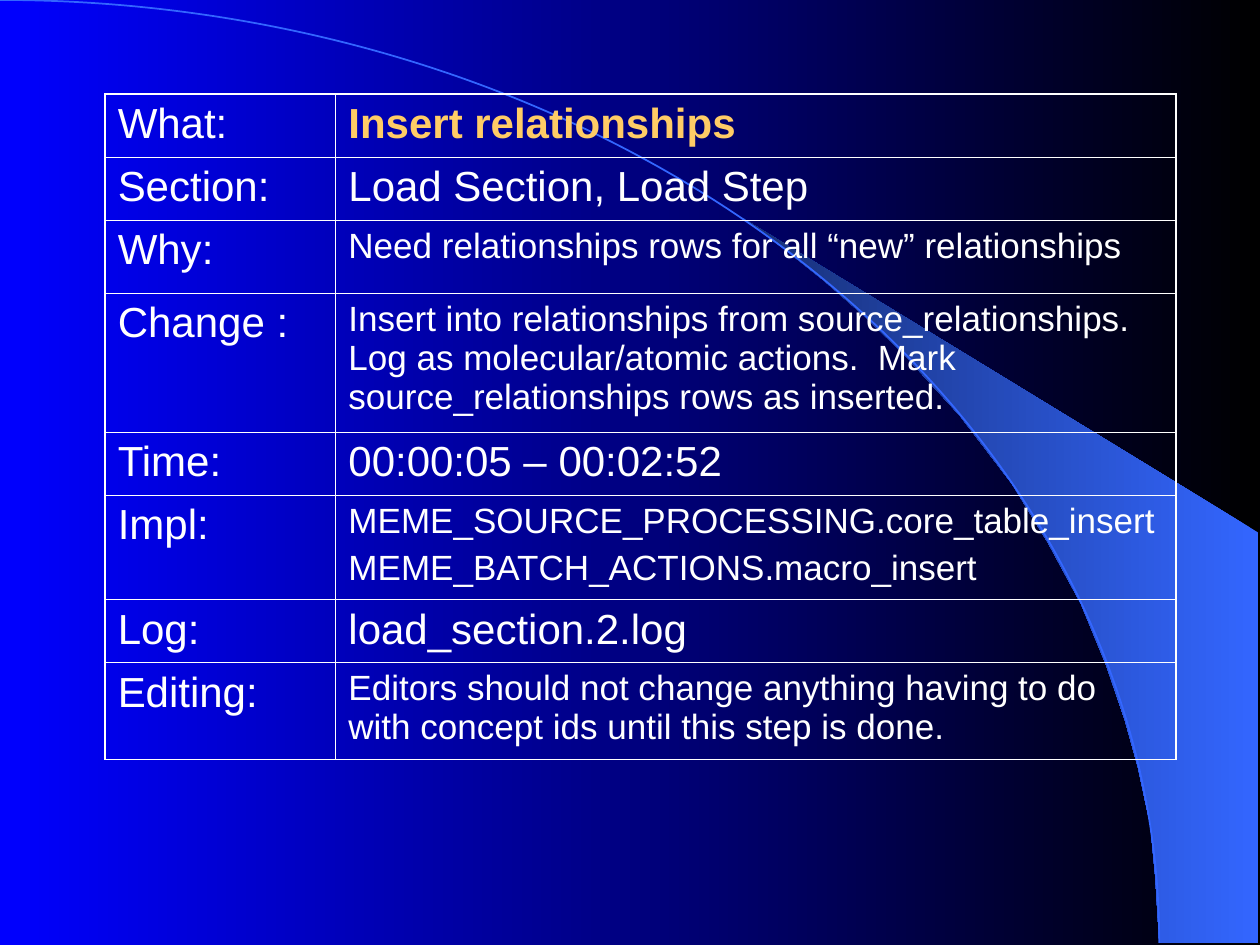
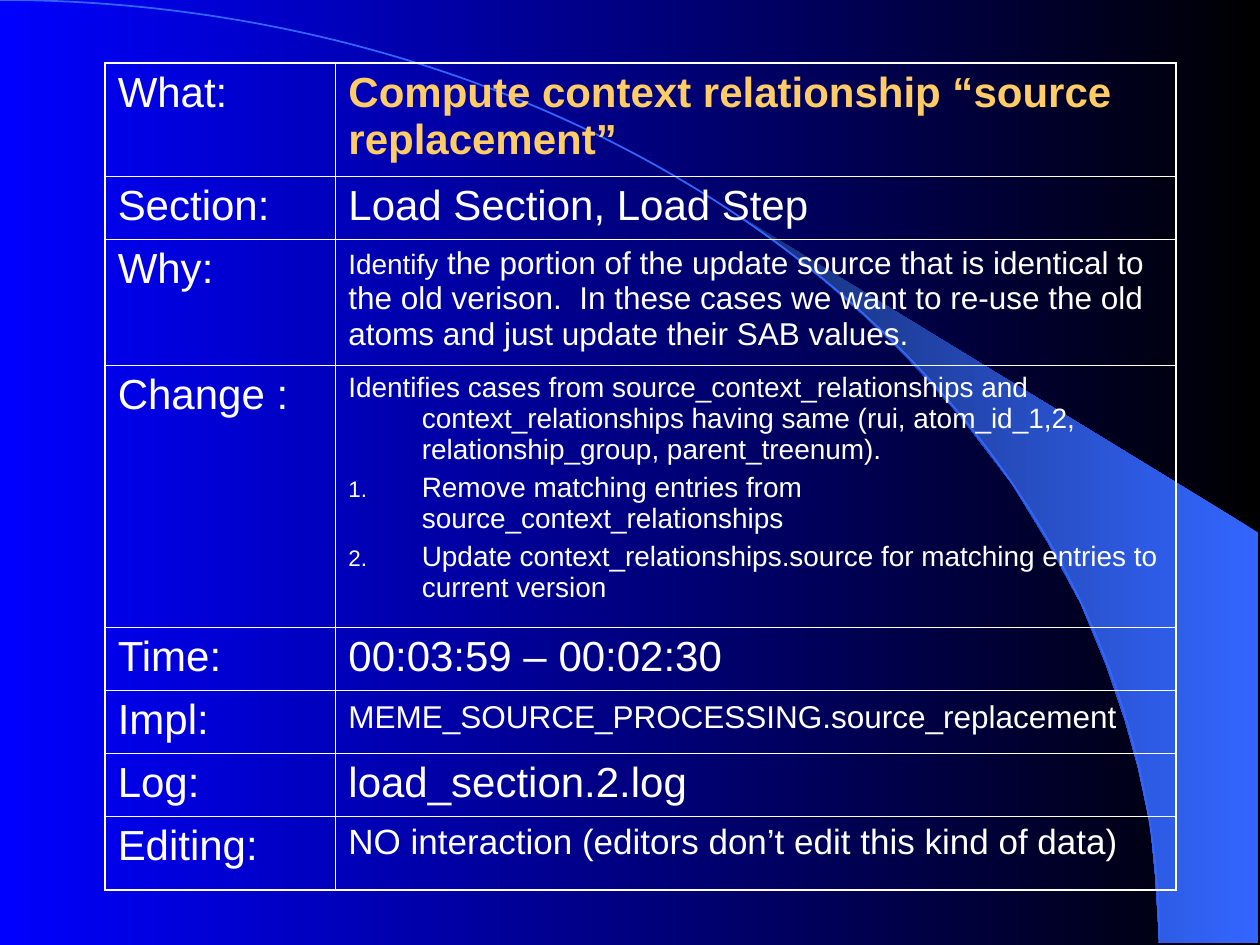
import pptx
import pptx.dml.color
import pptx.enum.shapes
import pptx.oxml
import pptx.oxml.ns
import pptx.util
from lxml import etree

Cm, Pt = pptx.util.Cm, pptx.util.Pt
RGB = pptx.dml.color.RGBColor.from_string
qn = pptx.oxml.ns.qn

HUES = {"text": "FFFFFF", "head": "FFCC66", "dark": "000000",
        "back": "0000FF", "arc": "3366FF", "shade": "172F75"}
FONT = {"name": "Arial", "bold": False}
COLS = [4.65, 16.94]
LEFT = 2.12
HANG = 1.48
THIN, THICK = 0.45, 1.08

# Outline of the light wedge: right edge first, then down along the arc
WEDGE = [(23.37, 19), (25.37, 19.02), (25.37, 10.74), (14.96, 4.39),
         (15.85, 5.05), (16.59, 5.64), (17.4, 6.35), (18.19, 7.11),
         (19.35, 8.38), (20.4, 9.75), (21.13, 10.95), (21.79, 12.17),
         (22.3, 13.41), (22.68, 14.53), (22.94, 15.47), (23.19, 16.64),
         (23.29, 17.68)]

# Slide: top of table, rows. Row: label, height, lines. Line: kind, runs.
DECK = [
    (1.9, [
        ("What:", 1.27, [("head", ("Insert relationships", 24))]),
        ("Section:", 1.27, [("text", ("Load Section, Load Step", 24))]),
        ("Why:", 1.48, [
            ("text", ("Need relationships rows for all “new” relationships", 20))]),
        ("Change :", 2.79, [
            ("text", ("Insert into relationships from source_relationships.  "
                      "Log as molecular/atomic actions.  Mark "
                      "source_relationships rows as inserted.", 20))]),
        ("Time:", 1.27, [("text", ("00:00:05 – 00:02:52", 24))]),
        ("Impl:", 2.11, [
            ("text", ("MEME_SOURCE_PROCESSING.core_table_insert", 20)),
            ("text", ("MEME_BATCH_ACTIONS.macro_insert", 20))]),
        ("Log:", 1.27, [("text", ("load_section.2.log", 24))]),
        ("Editing:", 1.95, [
            ("text", ("Editors should not change anything having to do "
                      "with concept ids until this step is done.", 20))]),
    ]),
    (1.27, [
        ("What:", 2.29, [
            ("head", ("Compute context relationship “source replacement”", 24))]),
        ("Section:", 1.27, [("text", ("Load Section, Load Step", 24))]),
        ("Why:", 2.54, [
            ("text", ("Identify", 16),
             (" the portion of the update source that is identical to the old "
              "verison.  In these cases we want to re-use the old atoms and "
              "just update their SAB values.", 18))]),
        ("Change :", 5.28, [
            ("hang", ("Identifies cases from source_context_relationships and "
                      "context_relationships having same (rui, atom_id_1,2, "
                      "relationship_group, parent_treenum).", 16)),
            ("num", ("Remove matching entries from "
                     "source_context_relationships", 16)),
            ("num", ("Update context_relationships.source for matching "
                     "entries to current version", 16))]),
        ("Time:", 1.27, [("text", ("00:03:59 – 00:02:30", 24))]),
        ("Impl:", 1.27, [
            ("text", ("MEME_SOURCE_PROCESSING.source_replacement", 18), (" ", 20))]),
        ("Log:", 1.27, [("text", ("load_section.2.log", 24))]),
        ("Editing:", 1.48, [
            ("text", ("NO interaction (editors don’t edit this kind of data)", 20))]),
    ]),
]


def blend(fill, first, last):
    """Fill with a gradient that runs from right to left."""
    fill.gradient()
    fill.gradient_angle = 180
    for stop, hue, place in zip(fill.gradient_stops, (first, last), (0, 1)):
        stop.color.rgb = RGB(HUES[hue])
        stop.position = place


def write(cell, lines):
    """Put lines of runs, each with its own size, into a table cell."""
    frame = cell.text_frame
    for i, (kind, *runs) in enumerate(lines):
        para = frame.add_paragraph() if i else frame.paragraphs[0]
        props = para._p.get_or_add_pPr()
        if kind in ("hang", "num"):
            props.set("marL", str(Cm(HANG)))
            props.set("indent", str(-Cm(HANG)))
        if kind == "num":
            tint = etree.SubElement(props, qn("a:buClr"))
            etree.SubElement(tint, qn("a:srgbClr"), val=HUES["text"])
            etree.SubElement(props, qn("a:buSzPct"), val="80000")
            etree.SubElement(props, qn("a:buAutoNum"), type="arabicPeriod")
        para.space_before = Pt(runs[0][1] / 4 if i else 0)
        for text, size in runs:
            run = para.add_run()
            run.text = text
            look = FONT | {"size": Pt(size), "bold": kind == "head"}
            for key, val in look.items():
                setattr(run.font, key, val)
            run.font.color.rgb = RGB(HUES["head" if kind == "head" else "text"])


prs = pptx.Presentation()
prs.slide_width, prs.slide_height = Cm(25.4), Cm(19.05)
blend(prs.slide_master.background.fill, "dark", "back")

for top, rows in DECK:
    slide = prs.slides.add_slide(prs.slide_layouts[6])

    # Backdrop: wedge of light and the quarter arc it springs from
    spots = [(Cm(x), Cm(y)) for x, y in WEDGE]
    path = slide.shapes.build_freeform(*spots[0])
    path.add_line_segments(spots[1:], close=True)
    wedge = path.convert_to_shape()
    wedge.shadow.inherit = False
    wedge.line.fill.background()
    blend(wedge.fill, "arc", "shade")

    arc = slide.shapes.add_shape(pptx.enum.shapes.MSO_SHAPE.ARC,
                                 Cm(-23.37), Cm(0), Cm(46.74), Cm(38.02))
    arc.shadow.inherit = False
    arc.fill.background()
    arc.line.color.rgb = RGB(HUES["arc"])
    arc.line.width = Pt(1)

    # Table of facts about the step
    high = sum(row[1] for row in rows)
    table = slide.shapes.add_table(len(rows), 2, Cm(LEFT), Cm(top),
                                   Cm(sum(COLS)), Cm(high)).table
    table.first_row = table.horz_banding = False
    for col, wide in zip(table.columns, COLS):
        col.width = Cm(wide)

    for r, (label, tall, lines) in enumerate(rows):
        table.rows[r].height = Cm(tall)
        for c, body in enumerate(([("text", (label, 24))], lines)):
            cell = table.cell(r, c)
            props = cell._tc.get_or_add_tcPr()
            outer = {"L": c == 0, "R": c == 1,
                     "T": r == 0, "B": r == len(rows) - 1}
            for side, edge in outer.items():
                rule = etree.SubElement(props, qn("a:ln" + side),
                                        w=str(Pt(THICK if edge else THIN)))
                paint = etree.SubElement(rule, qn("a:solidFill"))
                etree.SubElement(paint, qn("a:srgbClr"), val=HUES["text"])
            cell.fill.background()
            write(cell, body)

prs.save("out.pptx")
